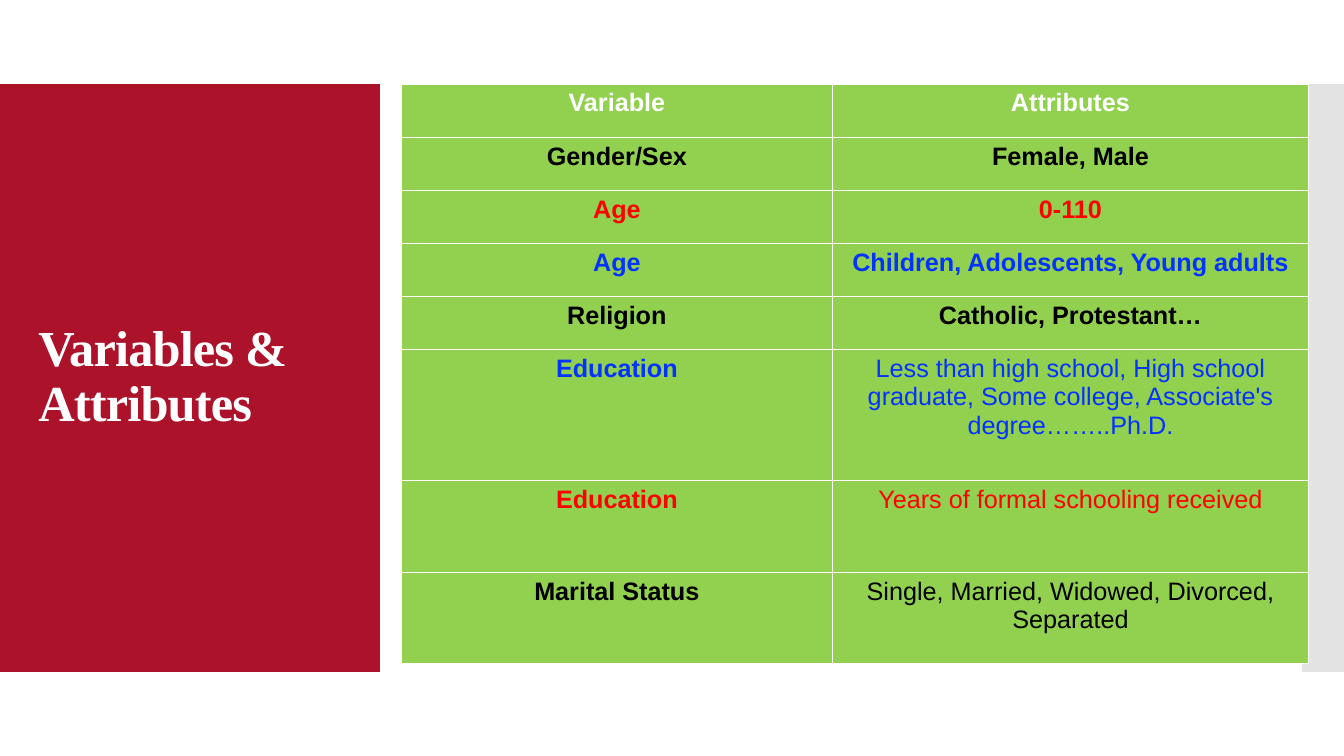
"""Build the Variables & Attributes slide on a grid of 160 columns by 90 rows."""
from dataclasses import dataclass

from lxml import etree
from pptx import Presentation
from pptx.dml.color import RGBColor
from pptx.enum.shapes import MSO_SHAPE
from pptx.enum.text import MSO_ANCHOR, MSO_AUTO_SIZE, PP_ALIGN
from pptx.oxml.ns import qn
from pptx.util import Inches, Pt

RECT = MSO_SHAPE.RECTANGLE
MIDDLE = MSO_ANCHOR.MIDDLE
NO_FIT = MSO_AUTO_SIZE.NONE
LEFT, CENTER = PP_ALIGN.LEFT, PP_ALIGN.CENTER
TITLE_ONLY = 5
COLS, ROWS = 160, 90
WIDTH, HEIGHT = Inches(13.33), Inches(7.5)
HEX = {
    "white": "FFFFFF", "black": "000000", "red": "FF0000", "blue": "0432FF",
    "green": "92D050", "wine": "AC122A", "gray": "C8C8C8",
}


@dataclass
class Box:
    col: float
    row: float
    wide: float
    high: float

    def frame(self) -> tuple[int, int, int, int]:
        return across(self.col), down(self.row), across(self.wide), down(self.high)


@dataclass
class Panel:
    box: Box
    color: str
    alpha: int = 100


@dataclass
class Entry:
    name: str
    values: str
    color: str
    high: float = 6.33
    strong: bool = True


PANELS = [
    Panel(Box(0, 10, 45.24, 70), "wine"),
    Panel(Box(155, 10, 5, 70), "gray", 50),
]
TITLE = Box(3.36, 14.76, 38.64, 60.36)
WIDTHS = [51.36, 56.64]
ENTRIES = [
    Entry("Variable", "Attributes", "white"),
    Entry("Gender/Sex", "Female, Male", "black"),
    Entry("Age", "0-110", "red"),
    Entry("Age", "Children, Adolescents, Young adults", "blue"),
    Entry("Religion", "Catholic, Protestant…", "black"),
    Entry("Education", "Less than high school, High school graduate, Some college, "
          "Associate's degree……..Ph.D.", "blue", 15.6, False),
    Entry("Education", "Years of formal schooling received", "red", 10.9, False),
    Entry("Marital Status", "Single, Married, Widowed, Divorced, Separated",
          "black", 10.9, False),
]
GRID = Box(47.76, 10, sum(WIDTHS), sum(entry.high for entry in ENTRIES))


def across(cols: float) -> int:
    return round(WIDTH * cols / COLS)


def down(rows: float) -> int:
    return round(HEIGHT * rows / ROWS)


def rgb(name: str) -> RGBColor:
    return RGBColor.from_string(HEX[name])


def style(font, color: str, **format) -> None:
    for key, value in format.items():
        setattr(font, key, value)
    font.color.rgb = rgb(color)


def draw_panel(slide, panel: Panel) -> None:
    shape = slide.shapes.add_shape(RECT, *panel.box.frame())
    shape.shadow.inherit = False
    shape.line.fill.background()
    shape.fill.solid()
    shape.fill.fore_color.rgb = rgb(panel.color)
    if panel.alpha < 100:
        tint = shape.fill._xPr.find(".//" + qn("a:srgbClr"))
        etree.SubElement(tint, qn("a:alpha"), val=str(panel.alpha * 1000))


def draw_title(slide) -> None:
    title = slide.shapes.title
    slide.shapes._spTree.append(title._element)
    title.left, title.top, title.width, title.height = TITLE.frame()
    text = title.text_frame
    text.text = "Variables & Attributes"
    text.word_wrap, text.auto_size, text.vertical_anchor = True, NO_FIT, MIDDLE
    line = text.paragraphs[0]
    line.alignment, line.line_spacing = LEFT, 0.9
    run = line.runs[0]
    style(run.font, "white", name="Times New Roman", size=Pt(36), bold=True)
    run._r.get_or_add_rPr().set("spc", "-60")


def draw_table(slide) -> None:
    table = slide.shapes.add_table(len(ENTRIES), len(WIDTHS), *GRID.frame()).table
    table.horz_banding = False
    for column, wide in zip(table.columns, WIDTHS):
        column.width = across(wide)
    for row, entry in zip(table.rows, ENTRIES):
        row.height = down(entry.high)
        words = [(entry.name, True), (entry.values, entry.strong)]
        for cell, (text, bold) in zip(row.cells, words):
            cell.fill.solid()
            cell.fill.fore_color.rgb = rgb("green")
            cell.text = text
            line = cell.text_frame.paragraphs[0]
            line.alignment = CENTER
            style(line.runs[0].font, entry.color, name="Arial", size=Pt(18), bold=bold)


def main() -> None:
    deck = Presentation()
    deck.slide_width, deck.slide_height = WIDTH, HEIGHT
    slide = deck.slides.add_slide(deck.slide_layouts[TITLE_ONLY])
    for panel in PANELS:
        draw_panel(slide, panel)
    draw_title(slide)
    draw_table(slide)
    deck.save("out.pptx")


if __name__ == "__main__":
    main()
